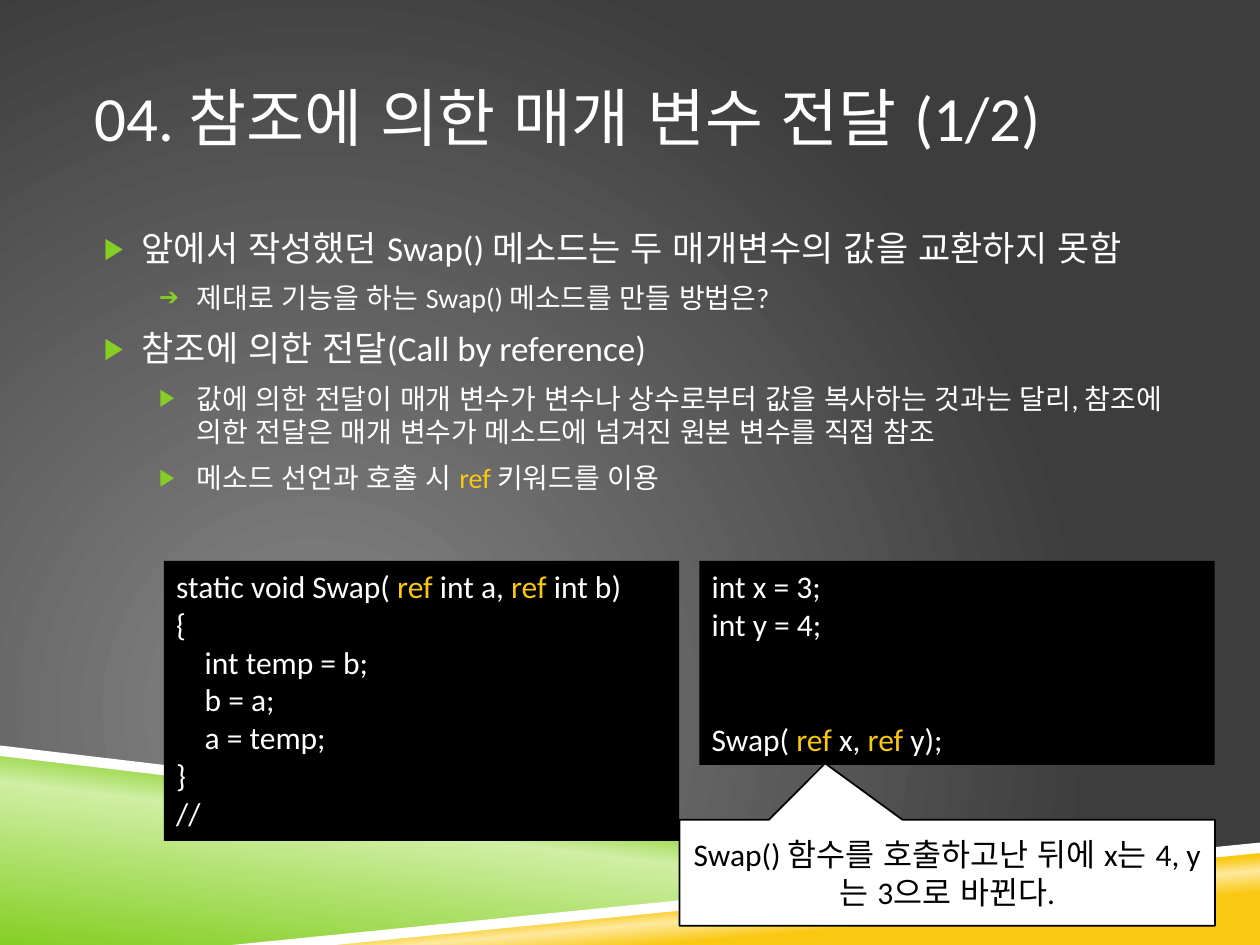
import pptx
import pptx.dml.color
import pptx.enum.lang
import pptx.enum.shapes
import pptx.enum.text
import pptx.oxml
import pptx.oxml.ns
import pptx.util

Pt = pptx.util.Pt
SHAPES = pptx.enum.shapes.MSO_SHAPE
ALIGN = pptx.enum.text.PP_ALIGN
ANCHOR = pptx.enum.text.MSO_ANCHOR
qn = pptx.oxml.ns.qn

WHITE, BLACK, GREEN, GOLD = "FFFFFF", "000000", "86CE24", "FAC810"
CODE_INDENT = 16.3
CODE_LINE = 22


def rgb(value):
    """Turn a hex string into a colour."""
    return pptx.dml.color.RGBColor.from_string(value)


def apply(target, formats):
    """Set every attribute named in a dict of format values."""
    for key, value in formats.items():
        setattr(target, key, value)


class SlideBuilder:
    """Holds the style and the current slide."""

    font = "Calibri"

    def __init__(self, slide):
        self.slide = slide

    def gradient(self, fill, parent, stops, direction):
        """Replace the solid fill under parent by a gradient."""
        fill.solid()
        marks = "".join(
            f'<a:gs pos="{position * 1000}"><a:srgbClr val="{color}"/></a:gs>'
            for position, color in stops)
        gradient = pptx.oxml.parse_xml(
            f'<a:gradFill {pptx.oxml.ns.nsdecls("a")} rotWithShape="1">'
            f'<a:gsLst>{marks}</a:gsLst>{direction}</a:gradFill>')
        parent.replace(parent.find(qn("a:solidFill")), gradient)

    def background(self, stops):
        """Fill the slide with a circular gradient."""
        fill = self.slide.background.fill
        fill.solid()
        parent = self.slide.element.find(".//" + qn("p:bgPr"))
        self.gradient(fill, parent, stops,
                      '<a:path path="circle"><a:fillToRect l="50000" t="100000" '
                      'r="100000" b="50000"/></a:path>')

    def band(self, points, color=None, stops=None, angle=0):
        """Draw a polygon with a plain or a linear gradient fill."""
        corners = [(Pt(x), Pt(y)) for x, y in points]
        outline = self.slide.shapes.build_freeform(*corners[0], scale=1.0)
        outline.add_line_segments(corners[1:], close=True)
        band = outline.convert_to_shape()
        band.shadow.inherit = False
        band.line.fill.background()
        if stops:
            self.gradient(band.fill, band._element.spPr, stops,
                          f'<a:lin ang="{angle * 60000}" scaled="0"/>')
        else:
            band.fill.solid()
            band.fill.fore_color.rgb = rgb(color)

    def add_text(self, paragraph, text, size, color=WHITE):
        """Add text; parts between bars are set in gold."""
        for number, part in enumerate(text.split("|")):
            if part:
                run = paragraph.add_run()
                run.text = part
                apply(run.font, {
                    "name": self.font, "size": Pt(size),
                    "language_id": pptx.enum.lang.MSO_LANGUAGE_ID.KOREAN})
                run.font.color.rgb = rgb(GOLD if number % 2 else color)

    def title(self, text, box, size):
        """Place and fill the title placeholder."""
        title = self.slide.shapes.title
        apply(title, dict(zip(("left", "top", "width", "height"), map(Pt, box))))
        apply(title.text_frame, {
            "margin_left": 0, "margin_right": 0, "word_wrap": True,
            "vertical_anchor": ANCHOR.MIDDLE})
        paragraph = title.text_frame.paragraphs[0]
        paragraph.alignment = ALIGN.LEFT
        self.add_text(paragraph, text, size)

    def bullets(self, items, box):
        """Add a bulleted list of (level, bullet, text) items."""
        frame = self.slide.shapes.add_textbox(*map(Pt, box)).text_frame
        apply(frame, {"margin_left": 0, "margin_right": 0, "word_wrap": True})
        for number, (level, bullet, text) in enumerate(items):
            paragraph = frame.add_paragraph() if number else frame.paragraphs[0]
            apply(paragraph, {"level": level, "space_before": Pt(7)})
            properties = paragraph._p.get_or_add_pPr()
            properties.set("marL", str(Pt((27, 58.5)[level])))
            properties.set("indent", str(Pt(-21.6)))
            for mark in (f'buClr {{}}><a:srgbClr val="{GREEN}"/></a:buClr>',
                         'buSzPct {} val="85000"/>',
                         'buFont {} typeface="Arial"/>',
                         f'buChar {{}} char="{bullet}"/>'):
                properties.append(pptx.oxml.parse_xml(
                    "<a:" + mark.format(pptx.oxml.ns.nsdecls("a"))))
            self.add_text(paragraph, text, (20, 16)[level])

    def panel(self, kind, box, fill):
        """Add a filled preset shape without outline."""
        panel = self.slide.shapes.add_shape(kind, *map(Pt, box))
        panel.shadow.inherit = False
        panel.fill.solid()
        panel.fill.fore_color.rgb = rgb(fill)
        panel.line.fill.background()
        panel.text_frame.word_wrap = True
        return panel

    def code(self, lines, box):
        """Add a code panel of (indent steps, blank lines above, text)."""
        frame = self.panel(SHAPES.RECTANGLE, box, BLACK).text_frame
        frame.vertical_anchor = ANCHOR.TOP
        for number, (steps, gap, text) in enumerate(lines):
            paragraph = frame.add_paragraph() if number else frame.paragraphs[0]
            apply(paragraph, {"alignment": ALIGN.LEFT,
                              "space_before": Pt(gap * CODE_LINE)})
            paragraph._p.get_or_add_pPr().set("marL", str(Pt(steps * CODE_INDENT)))
            self.add_text(paragraph, text, 18)

    def callout(self, text, box, tip):
        """Add an outlined callout whose tip is relative to its centre."""
        callout = self.panel(SHAPES.RECTANGULAR_CALLOUT, box, WHITE)
        callout.adjustments[0], callout.adjustments[1] = tip
        callout.line.color.rgb = rgb(BLACK)
        callout.line.width = Pt(1)
        callout.text_frame.vertical_anchor = ANCHOR.MIDDLE
        paragraph = callout.text_frame.paragraphs[0]
        paragraph.alignment = ALIGN.CENTER
        self.add_text(paragraph, text, 18, BLACK)


def main():
    """Build the slide and save it."""
    deck = pptx.Presentation()
    deck.slide_width, deck.slide_height = Pt(720), Pt(540)
    page = SlideBuilder(deck.slides.add_slide(deck.slide_layouts[5]))

    page.background([(0, "878787"), (100, "3D3D3D")])
    page.band([(0, 430), (570, 498), (144, 540), (0, 540)],
              stops=[(0, GREEN), (52, "CFEFA4"), (66, GREEN)], angle=277)
    page.band([(142.5, 540), (720, 484), (720, 540)],
              stops=[(28, GOLD), (40, "FDE99F"), (48, GOLD)], angle=265)
    page.band([(0, 426), (0, 432), (569, 499), (599, 497)], WHITE)
    page.band([(720, 481.5), (132.5, 540), (191.5, 540), (720, 487.5)], WHITE)

    page.title("04. 참조에 의한 매개 변수 전달 (1/2)", (54, 21.6, 612, 90), 36)
    page.bullets([
        (0, "▶", "앞에서 작성했던 Swap() 메소드는 두 매개변수의 값을 교환하지 못함"),
        (1, "➔", "제대로 기능을 하는 Swap() 메소드를 만들 방법은?"),
        (0, "▶", "참조에 의한 전달(Call by reference)"),
        (1, "▶", "값에 의한 전달이 매개 변수가 변수나 상수로부터 값을 복사하는 것과는 달리, "
                 "참조에 의한 전달은 매개 변수가 메소드에 넘겨진 원본 변수를 직접 참조"),
        (1, "▶", "메소드 선언과 호출 시 |ref |키워드를 이용"),
    ], (54, 126, 612, 325.5))

    page.code([
        (0, 0, "static void Swap( |ref |int a, |ref |int b)"),
        (0, 0, "{"),
        (1, 0, "int temp = b;"),
        (1, 0, "b = a;"),
        (1, 0, "a = temp;"),
        (0, 0, "}"),
        (0, 0, "//"),
    ], (93.6, 320.5, 294.5, 160))
    page.code([
        (0, 0, "int x = 3;"),
        (0, 0, "int y = 4;"),
        (0, 2, "Swap( |ref |x, |ref| y);"),
    ], (399.6, 320.5, 294.5, 116.6))
    page.callout("Swap() 함수를 호출하고난 뒤에 x는 4, y는 3으로 바뀐다.",
                 (388.3, 468.5, 306, 60.5), (-0.228, -1.034))
    deck.save("out.pptx")


main()
